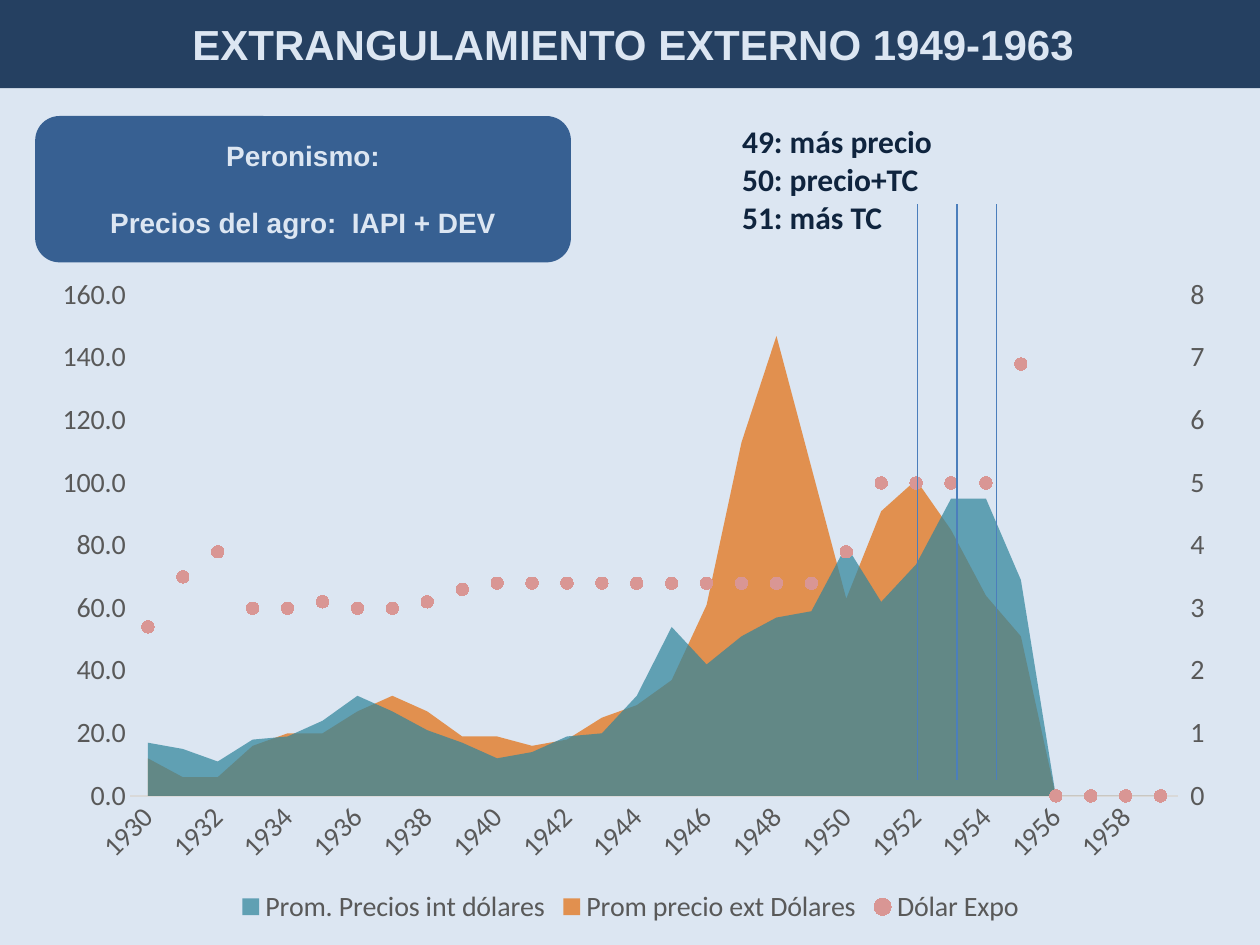
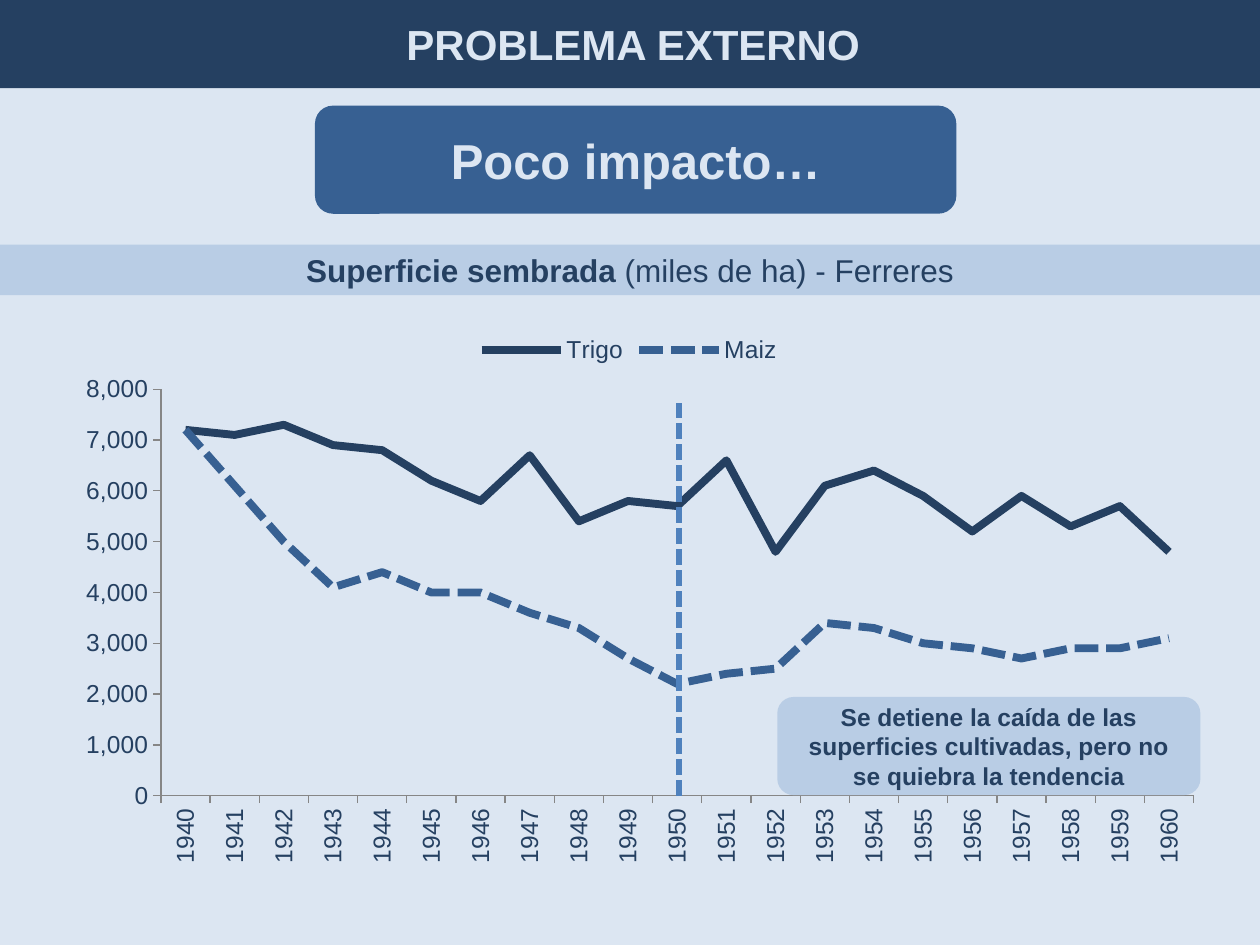
from copy import deepcopy
from pptx import Presentation
from pptx.chart.axis import ValueAxis
from pptx.chart.data import CategoryChartData as Data
from pptx.dml.color import RGBColor
from pptx.enum.chart import XL_CHART_TYPE as Kind, XL_LEGEND_POSITION as Place
from pptx.enum.chart import XL_MARKER_STYLE as Dot, XL_TICK_MARK as Tick
from pptx.enum.dml import MSO_LINE as Dash
from pptx.enum.shapes import MSO_CONNECTOR as Link, MSO_SHAPE as Form
from pptx.enum.text import MSO_ANCHOR as Anchor, MSO_AUTO_SIZE as Fit, PP_ALIGN as Align
from pptx.oxml import parse_xml
from pptx.oxml.ns import nsdecls, qn
from pptx.util import Cm, Pt

NAVY, BLUE, PALE, ICE = "254061", "376092", "B9CDE5", "DCE6F2"
GREY = "595959"

EXPO = [2.7, 3.5, 3.9, 3, 3, 3.1, 3, 3, 3.1, 3.3] + [3.4] * 10 + [3.9] + [5] * 4 + [6.9]
PRICES = {
    "Prom. Precios int dólares": [
        17, 15, 11, 18, 19, 24, 32, 27, 21, 17, 12, 14, 19,
        20, 32, 54, 42, 51, 57, 59, 80, 62, 74, 95, 95, 69],
    "Prom precio ext Dólares": [
        12, 6, 6, 16, 20, 20, 27, 32, 27, 19, 19, 16, 18,
        25, 29, 37, 61, 113, 147, 105, 63, 91, 101, 85, 64, 51],
    "Dólar Expo": EXPO,
}
CROPS = {
    "Trigo": [
        7200, 7100, 7300, 6900, 6800, 6200, 5800, 6700, 5400, 5800, 5700,
        6600, 4800, 6100, 6400, 5900, 5200, 5900, 5300, 5700, 4800],
    "Maiz": [
        7200, 6100, 5000, 4100, 4400, 4000, 4000, 3600, 3300, 2700, 2200,
        2400, 2500, 3400, 3300, 3000, 2900, 2700, 2900, 2900, 3100],
}


def rgb(code):
    return RGBColor.from_string(code)


def paint(fill, code):
    fill.solid()
    fill.fore_color.rgb = rgb(code)


def fade(part, share):
    for node in part._element.iter(qn("a:srgbClr")):
        node.append(parse_xml(f'<a:alpha {nsdecls("a")} val="{share * 1000}"/>'))


def put(node, tag, value):
    node.find(qn(tag)).set("val", str(value))


class Deck:
    def __init__(self):
        self.prs = Presentation()
        self.prs.slide_width, self.prs.slide_height = Cm(25.4), Cm(19.05)
        paint(self.prs.slide_master.background.fill, ICE)
        self.slide = None

    def page(self, text):
        self.slide = self.prs.slides.add_slide(self.prs.slide_layouts[5])
        title = self.slide.shapes.title
        title.left, title.top, title.width, title.height = Cm(0), Cm(0), Cm(25.53), Cm(1.78)
        paint(title.fill, NAVY)
        title.text_frame.text = text
        title.text_frame.auto_size = Fit.NONE
        title.text_frame.vertical_anchor = Anchor.MIDDLE
        self.dress(title, 24, ICE)

    def dress(self, shape, size, code, font="Arial", align=Align.CENTER):
        for para in shape.text_frame.paragraphs:
            para.alignment = align
            for run in para.runs:
                run.font.name, run.font.size, run.font.bold = font, Pt(size), True
                run.font.color.rgb = rgb(code)

    def box(self, area, text, fill, size, code, form=Form.ROUNDED_RECTANGLE):
        shape = self.slide.shapes.add_shape(form, *map(Cm, area))
        shape.shadow.inherit = False
        paint(shape.fill, fill)
        shape.line.fill.background()
        shape.text_frame.text = text
        shape.text_frame.word_wrap = True
        shape.text_frame.vertical_anchor = Anchor.MIDDLE
        self.dress(shape, size, code)
        return shape

    def note(self, area, text, size, code):
        shape = self.slide.shapes.add_textbox(*map(Cm, area))
        shape.text_frame.text = text
        shape.text_frame.word_wrap = False
        shape.text_frame.auto_size = Fit.SHAPE_TO_FIT_TEXT
        self.dress(shape, size, code, "Calibri", Align.LEFT)

    def mark(self, x, low, high, code, width, dash=None):
        line = self.slide.shapes.add_connector(Link.STRAIGHT, Cm(x), Cm(low), Cm(x), Cm(high))
        line.line.color.rgb = rgb(code)
        line.line.width = Pt(width)
        if dash:
            line.line.dash_style = dash
        line._element.spPr.append(parse_xml(f'<a:effectLst {nsdecls("a")}/>'))

    def chart(self, kind, area, start, count, table, font, size, code, legend, plot):
        data = Data()
        data.categories = [str(start + i) for i in range(count)]
        for name, vals in table.items():
            data.add_series(name, vals + [None] * (count - len(vals)))
        chart = self.slide.shapes.add_chart(kind, *map(Cm, area), data).chart
        chart.has_title = False
        chart.font.name, chart.font.size = font, Pt(size)
        chart.font.color.rgb = rgb(code)
        chart.plots[0].vary_by_categories = False
        chart.has_legend = True
        chart.legend.position = legend
        chart.legend.include_in_layout = False
        self.place(chart, plot)
        return chart

    def place(self, chart, plot):
        area = chart._chartSpace.chart.plotArea
        for old in area.findall(qn("c:layout")):
            area.remove(old)
        sides = "".join(f'<c:{k} val="{v}"/>' for k, v in zip("xywh", plot))
        area.insert(0, parse_xml(
            f'<c:layout {nsdecls("c")}><c:manualLayout><c:layoutTarget val="inner"/>'
            f'<c:xMode val="edge"/><c:yMode val="edge"/>{sides}</c:manualLayout></c:layout>'))

    def axes(self, chart, top, step, form, code, tick, turn):
        cat, val = chart.category_axis, chart.value_axis
        val.minimum_scale, val.maximum_scale, val.major_unit = 0, top, step
        for axis in (cat, val):
            axis.has_major_gridlines = False
            axis.major_tick_mark, axis.minor_tick_mark = tick, Tick.NONE
            axis.tick_labels.font.color.rgb = rgb(code)
            axis.format.line.width = Pt(0.75)
        val.tick_labels.number_format = form
        val.tick_labels.number_format_is_linked = False
        body = cat._element.find(qn("c:txPr")).find(qn("a:bodyPr"))
        body.set("rot", str(turn * 60000))
        body.set("vert", "horz")
        return cat, val

    def split(self, chart, top, step):
        area = chart._chartSpace.chart.plotArea
        last = chart.plots[0].series[-1]._element
        line = parse_xml(
            f'<c:lineChart {nsdecls("c")}><c:grouping val="standard"/>'
            '<c:varyColors val="0"/><c:marker val="1"/>'
            '<c:axId val="111"/><c:axId val="222"/></c:lineChart>')
        line.insert(2, last)
        area.find(qn("c:areaChart")).addnext(line)
        cat, val = chart.category_axis._element, chart.value_axis._element
        hid, right = deepcopy(cat), deepcopy(val)
        val.addnext(right)
        right.addnext(hid)
        for node, own, other in ((hid, 111, 222), (right, 222, 111)):
            put(node, "c:axId", own)
            put(node, "c:crossAx", other)
        put(hid, "c:delete", 1)
        put(right, "c:axPos", "r")
        put(right, "c:crosses", "max")
        axis = ValueAxis(right)
        axis.maximum_scale, axis.major_unit = top, step
        axis.major_tick_mark = Tick.OUTSIDE
        axis.tick_labels.number_format = "General"
        return chart.plots[1].series[0]


def prices(deck):
    deck.page("EXTRANGULAMIENTO EXTERNO 1949-1963")
    box = deck.box((0.71, 2.34, 10.8, 2.95), "Peronismo:\nPrecios del agro:  IAPI + DEV",
                   BLUE, 16, ICE)
    box.text_frame.paragraphs[1].space_before = Pt(19)
    chart = deck.chart(Kind.AREA, (0.71, 5.28, 24, 13.46), 1930, 30, PRICES, "Calibri", 16,
                       "000000", Place.BOTTOM, (0.08, 0.05, 0.88, 0.75))
    chart.legend.font.name, chart.legend.font.size = "Calibri", Pt(16)
    chart.legend.font.color.rgb = rgb(GREY)
    cat, val = deck.axes(chart, 160, 20, "0.0", GREY, Tick.NONE, -45)
    cat.format.line.color.rgb = rgb("D9D9D9")
    val.format.line.fill.background()
    put(val._element, "c:crossBetween", "between")
    expo = deck.split(chart, 8, 1)
    for ser, code, share in zip(chart.plots[0].series, ("31859C", "E46C0A"), (72, 70)):
        paint(ser.format.fill, code)
        fade(ser, share)
    expo.smooth = False
    expo.format.line.fill.background()
    expo.marker.style, expo.marker.size = Dot.CIRCLE, 7
    paint(expo.marker.format.fill, "D99694")
    expo.marker.format.line.color.rgb = rgb("D99694")
    deck.note((14.71, 2.34, 4.37, 2.57), "49: más precio\n50: precio+TC\n51: más TC",
              18, "0F243E")
    for i in range(3):
        deck.mark(18.49 + 0.8 * i, 15.72, 4.11, "4B7EBC", 0.75)


def crops(deck):
    deck.page("PROBLEMA EXTERNO")
    band = deck.box((0, 4.93, 25.4, 1.02), "Superficie sembrada ", PALE, 18, NAVY,
                    Form.RECTANGLE)
    unit = band.text_frame.paragraphs[0].add_run()
    unit.text = "(miles de ha) - Ferreres"
    deck.dress(band, 18, NAVY)
    unit.font.bold = False
    chart = deck.chart(Kind.LINE, (0.58, 6.5, 24.21, 11.71), 1940, 21, CROPS, "Arial", 14,
                       NAVY, Place.TOP, (0.11, 0.115, 0.86, 0.7))
    for axis in deck.axes(chart, 8000, 1000, "#,##0", NAVY, Tick.OUTSIDE, -90):
        axis.format.line.color.rgb = rgb("868686")
    for ser, code in zip(chart.plots[0].series, (NAVY, BLUE)):
        ser.smooth = False
        ser.marker.style = Dot.NONE
        ser.format.line.color.rgb = rgb(code)
        ser.format.line.width = Pt(4.5)
    ser.format.line.dash_style = Dash.SQUARE_DOT
    deck.mark(13.69, 16.05, 8.13, "4F81BD", 3, Dash.SQUARE_DOT)
    deck.box((15.67, 14.05, 8.53, 1.98),
             "Se detiene la caída de las superficies cultivadas, pero no se quiebra la tendencia",
             PALE, 14, NAVY)
    deck.box((6.35, 2.13, 12.93, 2.18), "Poco impacto…", BLUE, 28, ICE)


def main():
    deck = Deck()
    prices(deck)
    crops(deck)
    deck.prs.save("out.pptx")


if __name__ == "__main__":
    main()
